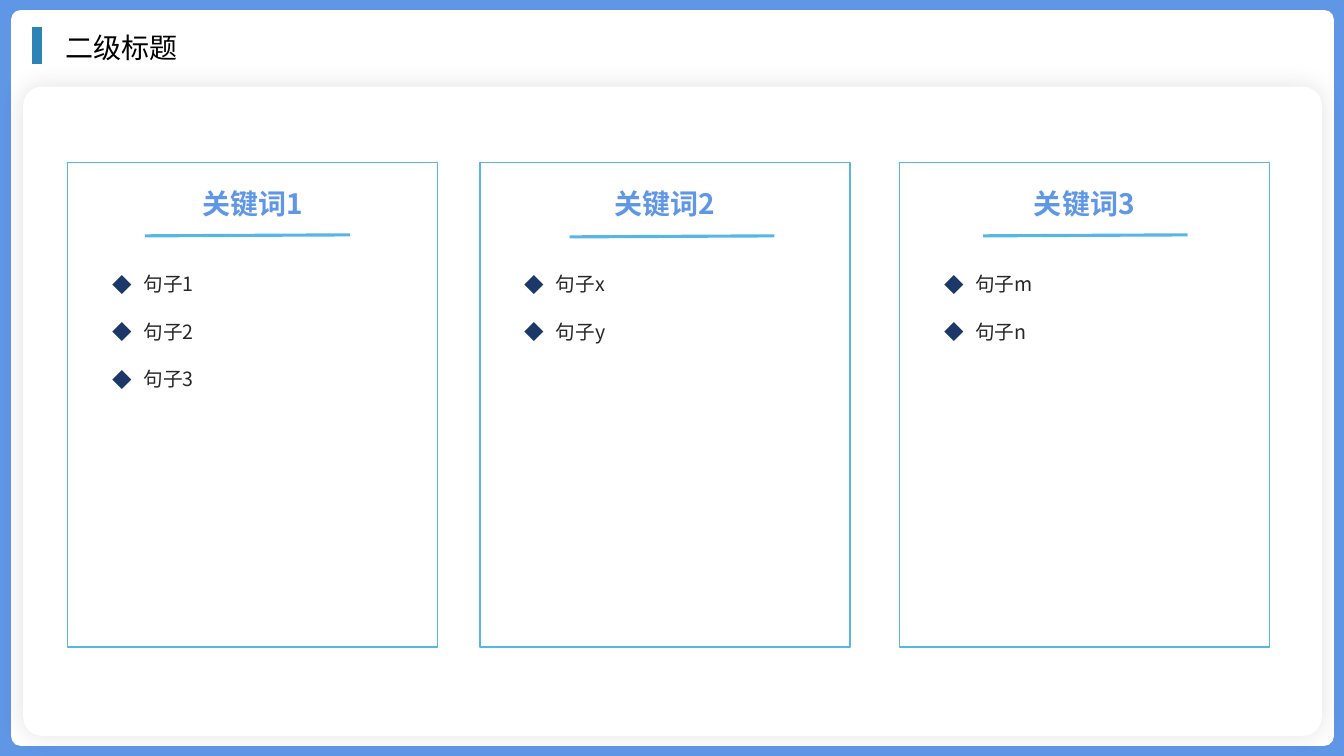
from lxml.etree import SubElement
from pptx import Presentation
from pptx.dml.color import RGBColor
from pptx.enum.shapes import MSO_CONNECTOR as CONN, MSO_SHAPE as SHAPE
from pptx.enum.text import MSO_AUTO_SIZE as AUTO, PP_ALIGN as ALIGN
from pptx.oxml.ns import qn
from pptx.util import Inches, Pt

TITLE = "二级标题"
COLUMNS = [
    {"left": 0.67, "rule": (1.44, 2.34), "head": "关键词1", "items": ["句子1", "句子2", "句子3"]},
    {"left": 4.76, "rule": (5.65, 2.35), "head": "关键词2", "items": ["句子x", "句子y"]},
    {"left": 8.92, "rule": (9.75, 2.34), "head": "关键词3", "items": ["句子m", "句子n"]},
]
COLORS = {"frame": "6096E6", "paper": "FFFFFF", "line": "58B6E5", "bar": "2D83B6",
          "bullet": "1B3868", "body": "262626", "title": "000000"}
CJK = "Noto Sans CJK SC"
W, H = 13.33, 7.5
PANEL_TOP, PANEL_W, PANEL_H = 1.61, 3.67, 4.81
HEAD_W, LIST_W, RULE_W = 2.96, 2.98, 2.03

prs = Presentation()
prs.slide_width, prs.slide_height = Inches(W), Inches(H)
s = prs.slides.add_slide(prs.slide_layouts[6])


def rgb(name):
    return RGBColor.from_string(COLORS[name])


def add_box(x, y, w, h, kind=SHAPE.RECTANGLE, fill=None, line=None, radius=None):
    sp = s.shapes.add_shape(kind, Inches(x), Inches(y), Inches(w), Inches(h))
    sp.shadow.inherit = False
    if radius is not None:
        sp.adjustments[0] = radius
    if fill:
        sp.fill.solid()
        sp.fill.fore_color.rgb = rgb(fill)
    else:
        sp.fill.background()
    if line:
        sp.line.color.rgb = rgb(line)
        sp.line.width = Pt(1)
    else:
        sp.line.fill.background()
    return sp


def add_line(x1, y1, x2, y2, color, width):
    cn = s.shapes.add_connector(CONN.STRAIGHT, Inches(x1), Inches(y1), Inches(x2), Inches(y2))
    cn.line.color.rgb = rgb(color)
    cn.line.width = Pt(width)
    SubElement(cn.element.spPr, qn("a:effectLst"))


def add_glow(sp, blur, alpha):
    effects = sp.element.spPr.find(qn("a:effectLst"))
    shadow = SubElement(effects, qn("a:outerShdw"), blurRad=str(Pt(blur)), dist="0",
                        dir="0", algn="ctr", rotWithShape="0")
    color = SubElement(shadow, qn("a:srgbClr"), val="000000")
    SubElement(color, qn("a:alpha"), val=str(alpha * 1000))


def add_bullet(p):
    pPr = p._p.get_or_add_pPr()
    pPr.set("marL", str(Inches(0.31)))
    pPr.set("indent", str(-Inches(0.31)))
    color = SubElement(pPr, qn("a:buClr"))
    SubElement(color, qn("a:srgbClr"), val=COLORS["bullet"])
    SubElement(pPr, qn("a:buFont"), typeface=CJK)
    SubElement(pPr, qn("a:buChar"), char="◆")


def add_text(lines, x, y, w, h, size, color, font=CJK, bold=False, align=ALIGN.LEFT, bullets=False):
    tf = s.shapes.add_textbox(Inches(x), Inches(y), Inches(w), Inches(h)).text_frame
    tf.word_wrap = True
    tf.auto_size = AUTO.SHAPE_TO_FIT_TEXT
    for i, text in enumerate(lines):
        p = tf.paragraphs[0] if i == 0 else tf.add_paragraph()
        p.alignment = align
        if bullets:
            add_bullet(p)
            p.line_spacing = 1.3
            p.space_before = Pt(6 if i else 0)
            p.space_after = Pt(6)
        r = p.add_run()
        r.text = text
        r.font.size, r.font.bold, r.font.name = Pt(size), bold, font
        r.font.color.rgb = rgb(color)
        SubElement(r._r.get_or_add_rPr(), qn("a:ea"), typeface=CJK)


add_box(0, 0, W, H, fill="frame")
add_box(0.11, 0.1, 13.12, 7.3, SHAPE.ROUNDED_RECTANGLE, fill="paper", radius=0.013)
card = add_box(0.23, 0.86, 12.88, 6.44, SHAPE.ROUNDED_RECTANGLE, fill="paper", radius=0.029)
add_glow(card, blur=18, alpha=11)

for col in COLUMNS:
    left, items = col["left"], col["items"]
    add_box(left, PANEL_TOP, PANEL_W, PANEL_H, line="line")
    add_text([col["head"]], left + (PANEL_W - HEAD_W) / 2, 1.8, HEAD_W, 0.44, 20, "frame",
             bold=True, align=ALIGN.CENTER)
    add_text(items, left + (PANEL_W - LIST_W) / 2, 2.58, LIST_W, 0.47 * len(items) - 0.06,
             14, "body", bullets=True)
    x, y = col["rule"]
    add_line(x, y, x + RULE_W, y - 0.01, "line", 2.25)

add_line(0.37, 0.27, 0.37, 0.64, "bar", 7.25)
add_text([TITLE], 0.55, 0.25, 12.42, 0.44, 20, "title", font="Karla")

prs.save("out.pptx")
